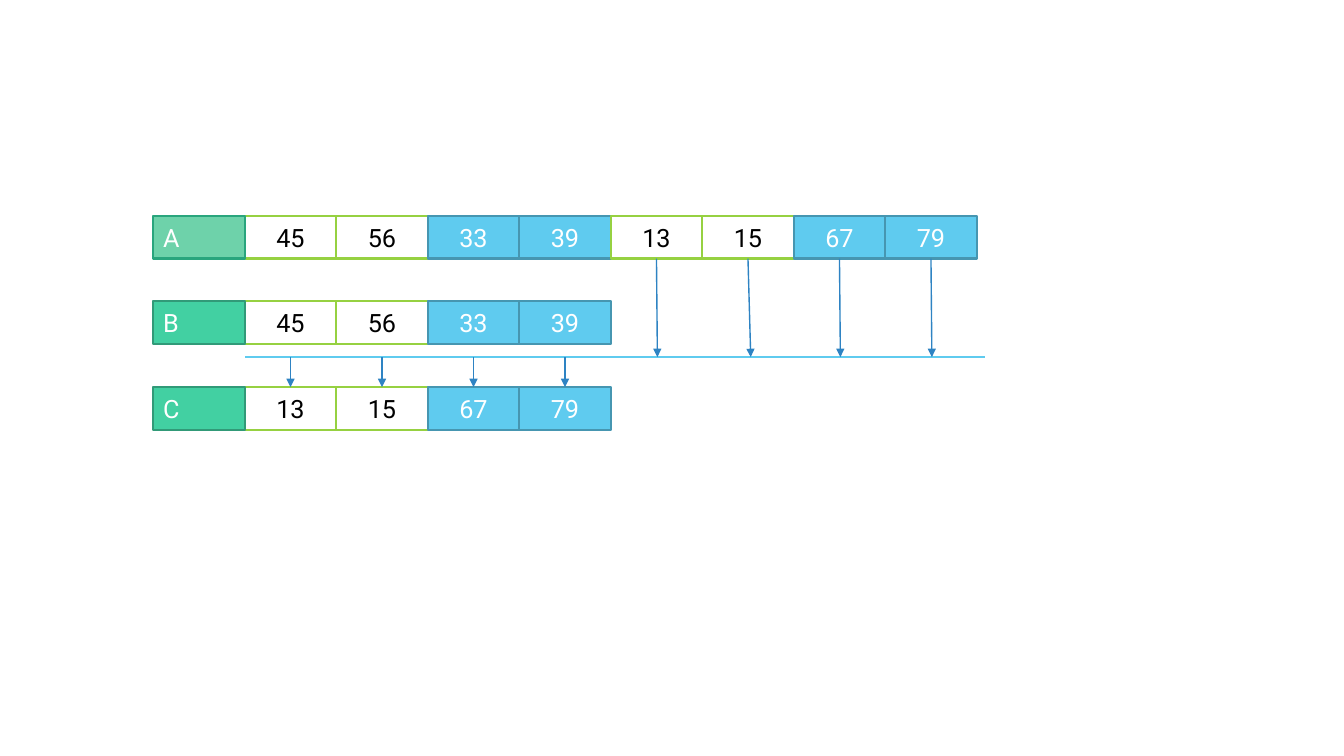
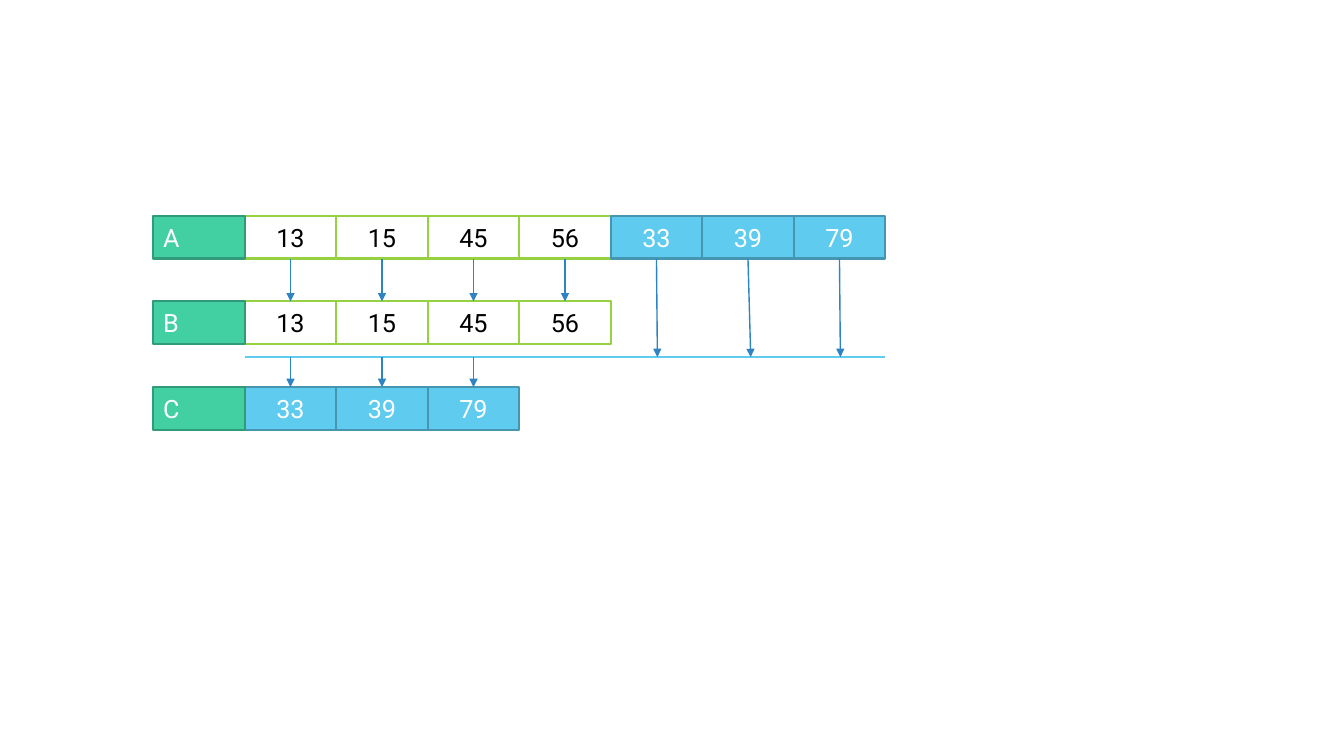
import dataclasses

import lxml.etree
import pptx
import pptx.dml.color
import pptx.enum.shapes
import pptx.enum.text
import pptx.oxml.ns
import pptx.util

ALIGN = pptx.enum.text.PP_ALIGN
ANCHOR = pptx.enum.text.MSO_ANCHOR


def color(value):
    return pptx.dml.color.RGBColor.from_string(value)


@dataclasses.dataclass(frozen=True)
class BoxStyle:
    fill: str
    border: str
    ink: str
    align: ALIGN


@dataclasses.dataclass(frozen=True)
class Theme:
    font: str = "Roboto"
    text_size: float = 18
    border_width: float = 1.5
    line_width: float = 1
    rail: str = "5FCBEF"
    arrow: str = "2E83C3"
    odd_run: BoxStyle = BoxStyle("FFFFFF", "96D141", "000000", ALIGN.CENTER)
    even_run: BoxStyle = BoxStyle("5FCBEF", "4696B1", "FFFFFF", ALIGN.CENTER)
    label: BoxStyle = BoxStyle("42D0A2", "319A78", "FFFFFF", ALIGN.LEFT)
    pale_label: BoxStyle = BoxStyle("6ED2AA", "29A57D", "FFFFFF", ALIGN.LEFT)


@dataclasses.dataclass(frozen=True)
class Grid:
    left: float = 1.52
    top: float = 2.14
    column: float = 7.26 / 8
    row: float = 0.85 / 2

    def point(self, column, row):
        return (pptx.util.Inches(self.left + column * self.column),
                pptx.util.Inches(self.top + row * self.row))


def apply_format(target, values):
    for name, value in values.items():
        setattr(target, name, value)


class MergeDiagram:
    def __init__(self, deck, theme, grid):
        self.deck = deck
        self.theme = theme
        self.grid = grid
        self.page = None

    def new_page(self):
        self.page = self.deck.slides.add_slide(self.deck.slide_layouts[6])

    def box(self, text, column, row, style):
        left, top = self.grid.point(column, row)
        right, bottom = self.grid.point(column + 1, row + 1)
        box = self.page.shapes.add_shape(
            pptx.enum.shapes.MSO_SHAPE.RECTANGLE, left, top, right - left, bottom - top)
        box.shadow.inherit = False
        box.fill.solid()
        box.fill.fore_color.rgb = color(style.fill)
        box.line.color.rgb = color(style.border)
        box.line.width = pptx.util.Pt(self.theme.border_width)
        box.text_frame.vertical_anchor = ANCHOR.MIDDLE
        para = box.text_frame.paragraphs[0]
        para.alignment = style.align
        span = para.add_run()
        span.text = text
        apply_format(span.font, {
            "name": self.theme.font,
            "size": pptx.util.Pt(self.theme.text_size),
        })
        span.font.color.rgb = color(style.ink)

    def array(self, name, row, runs, label_style):
        column = 1
        for style, values in runs:
            for value in values:
                self.box(str(value), column, row, style)
                column += 1
        self.box(name, 0, row, label_style)

    def line(self, start, end, line_color):
        line = self.page.shapes.add_connector(
            pptx.enum.shapes.MSO_CONNECTOR.STRAIGHT,
            *self.grid.point(*start), *self.grid.point(*end))
        line.line.color.rgb = color(line_color)
        line.line.width = pptx.util.Pt(self.theme.line_width)
        lxml.etree.SubElement(line._element.spPr, pptx.oxml.ns.qn("a:effectLst"))
        return line

    def arrow(self, start, end):
        arrow = self.line(start, end, self.theme.arrow)
        outline = arrow.line._get_or_add_ln()
        lxml.etree.SubElement(outline, pptx.oxml.ns.qn("a:tailEnd"), type="triangle")

    def arrows(self, columns, top, bottom, leans=None):
        for column in columns:
            center = column + 0.5
            lean = leans[column] if leans else 0
            self.arrow((center, top), (center + lean, bottom))


ROWS = {"A": 0, "B": 2, "C": 4}
RAIL_ROW = 3.3
LEANS = {5: 0.01, 6: 0.03, 7: 0.01, 8: 0.01}


def draw_step(diagram, arrays, pale, rail_end, moved, direct):
    theme = diagram.theme
    diagram.new_page()
    for name in ("A", "C", "B"):
        label_style = theme.pale_label if name in pale else theme.label
        diagram.array(name, ROWS[name], arrays[name], label_style)
    diagram.arrows(range(1, 1 + direct), ROWS["A"] + 1, ROWS["B"])
    diagram.line((rail_end, RAIL_ROW), (1, RAIL_ROW), theme.rail)
    diagram.arrows(range(5, 5 + moved), ROWS["A"] + 1, RAIL_ROW, LEANS)
    diagram.arrows(range(1, 1 + moved), RAIL_ROW, ROWS["C"])


def main():
    deck = pptx.Presentation()
    apply_format(deck, {
        "slide_width": pptx.util.Inches(13.33),
        "slide_height": pptx.util.Inches(7.5),
    })
    theme = Theme()
    diagram = MergeDiagram(deck, theme, Grid())
    odd, even = theme.odd_run, theme.even_run

    first_half = [(odd, [45, 56]), (even, [33, 39])]
    second_half = [(odd, [13, 15]), (even, [67, 79])]
    pairs = {"A": first_half + second_half, "B": first_half, "C": second_half}
    draw_step(diagram, pairs, pale="A", rail_end=9.09, moved=4, direct=0)

    merged_odd = [(odd, [13, 15, 45, 56])]
    merged_even = [(even, [33, 39, 79])]
    fours = {"A": merged_odd + merged_even, "B": merged_odd, "C": merged_even}
    draw_step(diagram, fours, pale="", rail_end=8, moved=3, direct=4)

    deck.save("out.pptx")


if __name__ == "__main__":
    main()
